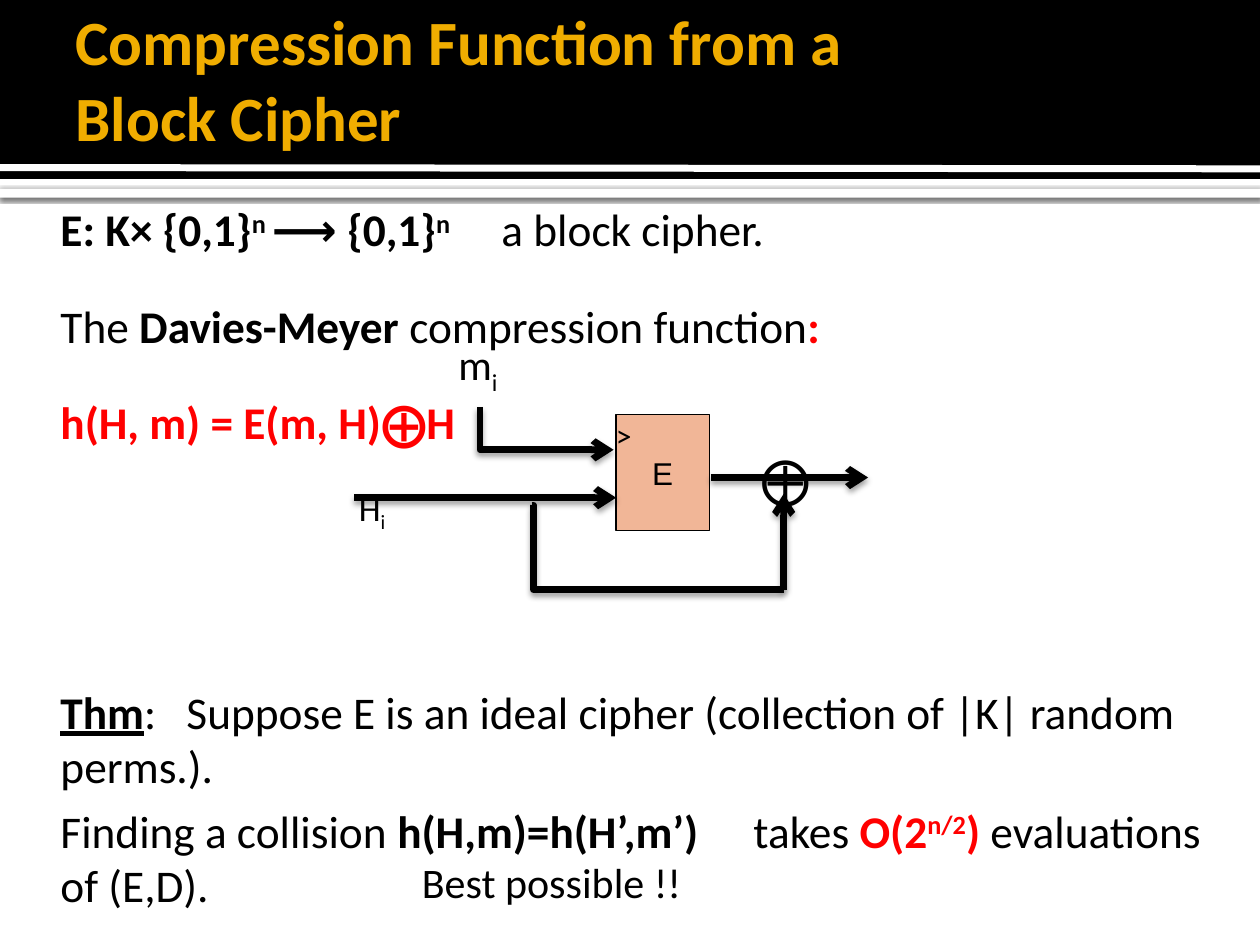
from dataclasses import dataclass

from lxml import etree
from pptx import Presentation
from pptx import util as u
from pptx.dml.color import RGBColor
from pptx.enum import shapes, text
from pptx.oxml.ns import qn

COLS, ROWS = 100, 75  # grid of square cells, a tenth of an inch each


@dataclass(frozen=True)
class Theme:
    ink: str = "000000"
    paper: str = "FFFFFF"
    title: str = "F0AD00"
    accent: str = "FF0000"
    block: str = "F1B697"
    font: str = "Calibri"
    block_font: str = "Arial"
    title_pt: float = 36
    body_pt: float = 25.9
    big_pt: float = 24
    mid_pt: float = 20
    small_pt: float = 18
    xor_pt: float = 28
    wire_pt: float = 3.78


T = Theme()
BOLD = {"bold": True}
SUP = {"bold": True, "base": 30}
RED = {"bold": True, "color": T.accent}
SUB = {"base": -25}

# Each paragraph: space before, tab stops in cells, runs
BODY = [
    (0, [35.4], [("E: K× {0,1}", BOLD), ("n ", SUP), ("⟶ {0,1}", BOLD),
                 ("n", SUP), ("\ta block cipher.", {})]),
    (23.8, [], [("The ", {}), ("Davies-Meyer ", BOLD),
                ("compression function", {}), (":", RED)]),
    (23.8, [], [("h(H, m) = E(m, H)⨁H", RED)]),
    (134.6, [10], [("Thm", {"bold": True, "underline": True}),
                   (":\tSuppose E is an ideal cipher (collection of |K| random perms.).", {})]),
    (5.8, [52.3], [("Finding a collision ", {}), ("h(H,m)=h(H’,m’)", BOLD),
                   ("\ttakes ", {}), ("O(2", RED), ("n/2", {**RED, **SUP}),
                   (") ", RED), ("evaluations of (E,D).", {})]),
]

# Label: left, top, width, height, size, runs
LABELS = [
    (47.9, 32.5, 3.3, 4, T.small_pt, [(">", {})]),
    (35.4, 26.4, 5.3, 5, T.big_pt, [("m", {}), ("i", SUB)]),
    (27.5, 38.1, 4.3, 4.4, T.mid_pt, [("H", {}), ("i", SUB)]),
    (59.4, 35.1, 5.4, 5.7, T.xor_pt, [("⨁", {})]),
    (32.5, 67.5, 22.7, 5, T.big_pt, [("Best possible !!", {})]),
]


def cells(*values):
    return [u.Inches(v / 10) for v in values]


def rgb(color):
    return RGBColor.from_string(color)


def assign(obj, values):
    for name, value in values.items():
        setattr(obj, name, value)


def child(parent, tag, **attrs):
    el = etree.SubElement(parent, qn(tag))
    for name, value in attrs.items():
        el.set(name, str(value))
    return el


def add_runs(p, runs, size, color=T.ink, font=T.font):
    for words, style in runs:
        style = dict(style)
        r = p.add_run()
        r.text = words
        base = style.pop("base", 0)
        r.font.color.rgb = rgb(style.pop("color", color))
        assign(r.font, {"name": font, "size": u.Pt(size), **style})
        if base:
            r._r.get_or_add_rPr().set("baseline", str(base * 1000))


def drop_shadow(sp, alpha, blur, dist):
    """Cast a black shadow straight down; blur and distance are in points."""
    effects = child(sp._element.spPr, "a:effectLst")
    shadow = child(effects, "a:outerShdw", blurRad=u.Pt(blur), dist=u.Pt(dist),
                   dir=90 * 60000, algn="t", rotWithShape=0)
    child(child(shadow, "a:srgbClr", val=T.ink), "a:alpha", val=alpha * 1000)


def place(sp, box):
    assign(sp, dict(zip(("left", "top", "width", "height"), cells(*box))))


def add_block(s, box, fill):
    sp = s.shapes.add_shape(shapes.MSO_SHAPE.RECTANGLE, *cells(*box))
    sp.fill.solid()
    sp.fill.fore_color.rgb = rgb(fill)
    sp.line.fill.background()
    return sp


def add_wire(s, ends, kind=shapes.MSO_CONNECTOR.STRAIGHT, color=T.ink,
             width=T.wire_pt, arrow=True):
    wire = s.shapes.add_connector(kind, *cells(*ends))
    wire.line.color.rgb = rgb(color)
    wire.line.width = u.Pt(width)
    if arrow:
        child(wire.line._get_or_add_ln(), "a:tailEnd", type="arrow")
    return wire


def add_header_band(s):
    strip = add_block(s, (0, 15, COLS, 0.7), T.paper)
    drop_shadow(strip, 60, 2.5, 0.8)
    band = add_block(s, (0, 0, COLS, 14.2), T.ink)
    band.shadow.inherit = False
    rule = add_wire(s, (0, 13.3, COLS, 13.4), color=T.paper, width=4, arrow=False)
    child(rule._element.spPr, "a:effectLst")
    for depth, sp in enumerate((strip, band, rule), start=2):
        s.shapes._spTree.insert(depth, sp._element)  # behind the placeholders


def fill_title(title):
    place(title, (5, 0.8, 82.5, 10.8))
    tf = title.text_frame
    assign(tf, {"auto_size": text.MSO_AUTO_SIZE.NONE, "margin_right": u.Inches(0.05),
                "vertical_anchor": text.MSO_ANCHOR.MIDDLE})
    p = tf.paragraphs[0]
    p.alignment = text.PP_ALIGN.LEFT
    add_runs(p, [("Compression Function from a ", BOLD)], T.title_pt, T.title)
    p.add_line_break()
    add_runs(p, [("Block Cipher", BOLD)], T.title_pt, T.title)


def fill_body(body):
    place(body, (4.2, 15, 93.3, 55.8))
    tf = body.text_frame
    assign(tf, {"auto_size": text.MSO_AUTO_SIZE.NONE, "margin_left": u.Inches(0.06),
                "margin_top": u.Inches(0.1)})
    for i, (before, tabs, runs) in enumerate(BODY):
        p = tf.add_paragraph() if i else tf.paragraphs[0]
        pPr = p._p.get_or_add_pPr()
        assign_indent = {"marL": "0", "indent": "0"}
        for name, value in assign_indent.items():
            pPr.set(name, value)
        child(pPr, "a:buNone")
        if tabs:
            stops = child(pPr, "a:tabLst")
            for pos in cells(*tabs):
                child(stops, "a:tab", pos=pos, algn="l")
        p.space_before = u.Pt(before)
        add_runs(p, runs, T.body_pt)


def add_label(s, box, size, runs):
    tf = s.shapes.add_textbox(*cells(*box)).text_frame
    tf.word_wrap = False
    add_runs(tf.paragraphs[0], runs, size)


def add_cipher_block(s):
    sp = add_block(s, (48.9, 32.9, 7.4, 9.2), T.block)
    sp.shadow.inherit = False
    sp.line.color.rgb = rgb(T.ink)
    sp.line.width = u.Pt(0.75)
    assign(sp.text_frame, {"word_wrap": False, "vertical_anchor": text.MSO_ANCHOR.MIDDLE})
    p = sp.text_frame.paragraphs[0]
    p.alignment = text.PP_ALIGN.CENTER
    add_runs(p, [("E", {})], T.small_pt, font=T.block_font)


def add_wires(s):
    elbow = shapes.MSO_CONNECTOR.ELBOW
    message = add_wire(s, (41.7, 28.7, 45.1, 39.3), elbow)
    message._element.spPr.find(qn("a:prstGeom")).set("prst", "bentConnector2")
    xfrm = message._element.spPr.find(qn("a:xfrm"))
    xfrm.set("rot", str(270 * 60000))  # down first, then right
    xfrm.set("flipH", "1")

    feed = add_wire(s, (42.2, 40.1, 62.2, 46.8), elbow, arrow=False)
    guides = feed._element.spPr.find(qn("a:prstGeom")).get_or_add_avLst()
    child(guides, "a:gd", name="adj1", fmla="val 700")

    straight = [(28.1, 39.5, 48.9, 39.5), (56.4, 37.9, 68.9, 37.9), (62.2, 46.8, 62.2, 39.2)]
    for wire in [message, feed] + [add_wire(s, ends) for ends in straight]:
        drop_shadow(wire, 38, 3.5, 2)


def main():
    prs = Presentation()
    prs.slide_width, prs.slide_height = cells(COLS, ROWS)
    s = prs.slides.add_slide(prs.slide_layouts[1])
    add_header_band(s)
    fill_title(s.shapes.title)
    fill_body(s.placeholders[1])
    add_cipher_block(s)
    add_wires(s)
    for *box, size, runs in LABELS:
        add_label(s, box, size, runs)
    prs.save("out.pptx")


if __name__ == "__main__":
    main()
